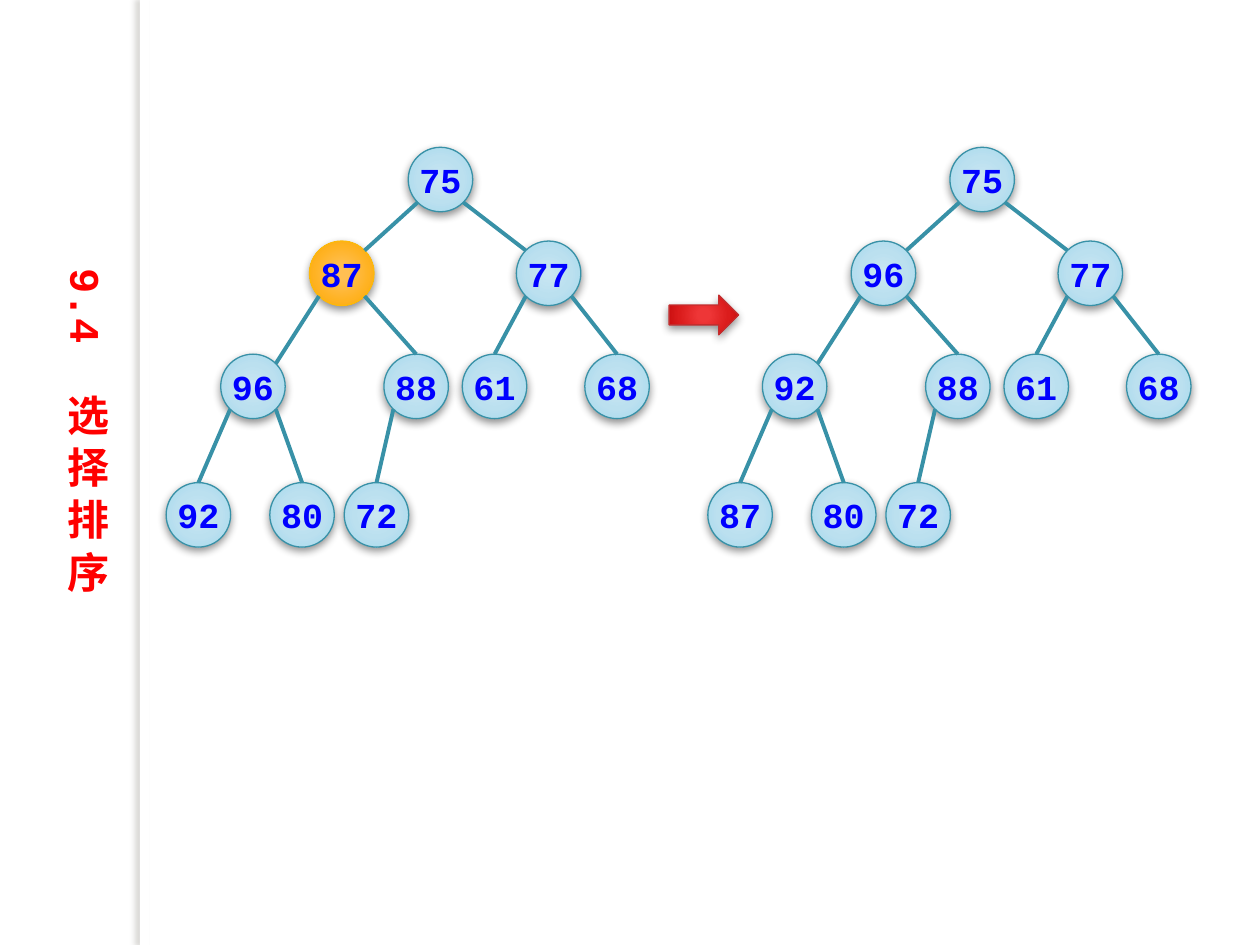
from lxml import etree
from pptx import Presentation
from pptx.dml.color import RGBColor
from pptx.enum.shapes import MSO_CONNECTOR, MSO_SHAPE
from pptx.enum.text import MSO_ANCHOR, MSO_AUTO_SIZE, PP_ALIGN
from pptx.oxml.ns import qn
from pptx.util import Cm, Pt

STRAIGHT = MSO_CONNECTOR.STRAIGHT
OVAL = MSO_SHAPE.OVAL
RECTANGLE = MSO_SHAPE.RECTANGLE
RIGHT_ARROW = MSO_SHAPE.RIGHT_ARROW
MIDDLE = MSO_ANCHOR.MIDDLE
GROW = MSO_AUTO_SIZE.SHAPE_TO_FIT_TEXT
CENTER = PP_ALIGN.CENTER

COLORS = {
    "white": "FFFFFF", "title": "FF0000", "number": "0000FF",
    "edge": "3891A7", "highlight": "FEB80A", "arrow": "C32D2E",
    "shadow": "000000", "sidebar_shadow": "736F63",
}
# Radial gradients: (position in percent, colour)
GRADIENTS = {
    "edge": [(0, "C9E6F2"), (50, "BBE0EF"), (97, "A4D8ED"), (100, "9BD7EE")],
    "highlight": [(0, "FFBF54"), (15, "FFBF53"), (62, "FFB221"),
                  (97, "F6A500"), (100, "D69900")],
    "arrow": [(0, "EF3737"), (15, "EE3637"), (62, "DB1C1C"),
              (97, "C70C0D"), (100, "C30001")],
}
FONT = "Courier New"

# Heap slots in level order: the children of slot i are 2i + 1 and 2i + 2
DIAMETER = 1.3
NODE_LEFTS = [8.23, 6.24, 10.41, 4.45, 7.74, 9.32, 11.79, 3.35, 5.44, 6.94]
LEVEL_TOPS = [2.97, 4.86, 7.14, 9.73]
CORNER_ENDS = (1, 2, 3)  # slots whose edge ends at the upper corner, not the top
TREE_SHIFT = 10.92
HEAP_BEFORE = [75, 87, 77, 96, 88, 61, 68, 92, 80, 72]
HEAP_AFTER = [75, 96, 77, 92, 88, 61, 68, 87, 80, 72]


def rgb(name):
    return RGBColor.from_string(COLORS[name])


def add_color(parent, value):
    return etree.SubElement(parent, qn("a:srgbClr"), val=value)


def set_radial_fill(shape, stops):
    gradient = etree.Element(qn("a:gradFill"), rotWithShape="1")
    stop_list = etree.SubElement(gradient, qn("a:gsLst"))
    for position, value in stops:
        stop = etree.SubElement(stop_list, qn("a:gs"), pos=str(position * 1000))
        add_color(stop, value)
    circle = etree.SubElement(gradient, qn("a:path"), path="circle")
    etree.SubElement(circle, qn("a:fillToRect"),
                     dict.fromkeys("ltrb", "50000"))
    shape._element.spPr.find(qn("a:prstGeom")).addnext(gradient)


def set_shadow(shape, color="shadow", opacity=43, blur=5, distance=2, angle=90):
    shape.shadow.inherit = False
    effects = shape._element.spPr.find(qn("a:effectLst"))
    outer = etree.SubElement(
        effects, qn("a:outerShdw"), blurRad=str(Pt(blur)), dist=str(Pt(distance)),
        dir=str(angle * 60000), algn="ctr", rotWithShape="0")
    etree.SubElement(add_color(outer, COLORS[color]), qn("a:alpha"),
                     val=str(opacity * 1000))


def write_text(frame, text, size, color):
    paragraph = frame.paragraphs[0]
    paragraph.alignment = CENTER
    run = paragraph.add_run()
    run.text = text
    run.font.name = FONT
    run.font.size = Pt(size)
    run.font.bold = True
    run.font.color.rgb = rgb(color)


def add_glossy(shapes, kind, left, top, width, height, color):
    """Add a shape with a radial gradient, a thin outline and a soft shadow."""
    shape = shapes.add_shape(kind, Cm(left), Cm(top), Cm(width), Cm(height))
    set_radial_fill(shape, GRADIENTS[color])
    shape.line.color.rgb = rgb(color)
    shape.line.width = Pt(0.75)
    set_shadow(shape)
    return shape


def add_node(shapes, left, top, key, color):
    node = add_glossy(shapes, OVAL, left, top, DIAMETER, DIAMETER, color)
    frame = node.text_frame
    frame.margin_left = frame.margin_right = 0
    frame.vertical_anchor = MIDDLE
    write_text(frame, str(key), size=20, color="number")


def add_edge(shapes, start, end):
    edge = shapes.add_connector(STRAIGHT, *map(Cm, start + end))
    edge.line.color.rgb = rgb("edge")
    edge.line.width = Pt(2.25)
    etree.SubElement(edge._element.spPr, qn("a:effectLst"))


def add_tree(slide, keys, shift=0, highlighted=None):
    shapes = slide.shapes.add_group_shape().shapes
    radius = DIAMETER / 2
    diagonal = radius * 0.5 ** 0.5
    centers = []
    for slot, key in enumerate(keys):
        left = NODE_LEFTS[slot] + shift
        top = LEVEL_TOPS[(slot + 1).bit_length() - 1]
        centers.append((left + radius, top + radius))
        add_node(shapes, left, top, key,
                 "highlight" if slot == highlighted else "edge")
    for slot in range(1, len(keys)):
        side = -1 if slot % 2 else 1
        parent_x, parent_y = centers[(slot - 1) // 2]
        x, y = centers[slot]
        start = (parent_x + side * diagonal, parent_y + diagonal)
        if slot in CORNER_ENDS:
            end = (x - side * diagonal, y - diagonal)
        else:
            end = (x, y - radius)
        add_edge(shapes, start, end)


def add_sidebar_border(slide, height):
    border = slide.shapes.add_shape(RECTANGLE, Cm(2.82), 0, Cm(0.2), height)
    border.fill.solid()
    border.fill.fore_color.rgb = rgb("white")
    border.line.fill.background()
    set_shadow(border, "sidebar_shadow", opacity=25, blur=3, distance=3, angle=180)


def add_vertical_title(slide, text):
    title = slide.shapes.add_textbox(Cm(0.84), Cm(5.16), Cm(1.55), Cm(8.13))
    frame = title.text_frame
    frame.word_wrap = True
    frame.auto_size = GROW
    frame._txBody.bodyPr.set("vert", "eaVert")
    write_text(frame, text, size=24, color="title")


def main():
    deck = Presentation()
    deck.slide_width, deck.slide_height = Cm(25.4), Cm(19.05)
    slide = deck.slides.add_slide(deck.slide_layouts[6])
    add_sidebar_border(slide, deck.slide_height)
    add_glossy(slide.shapes, RIGHT_ARROW, 13.49, 5.95, 1.4, 0.8, "arrow")
    add_tree(slide, HEAP_BEFORE, highlighted=1)
    add_tree(slide, HEAP_AFTER, shift=TREE_SHIFT)
    add_vertical_title(slide, "9.4  选 择 排 序")
    deck.save("out.pptx")


if __name__ == "__main__":
    main()
